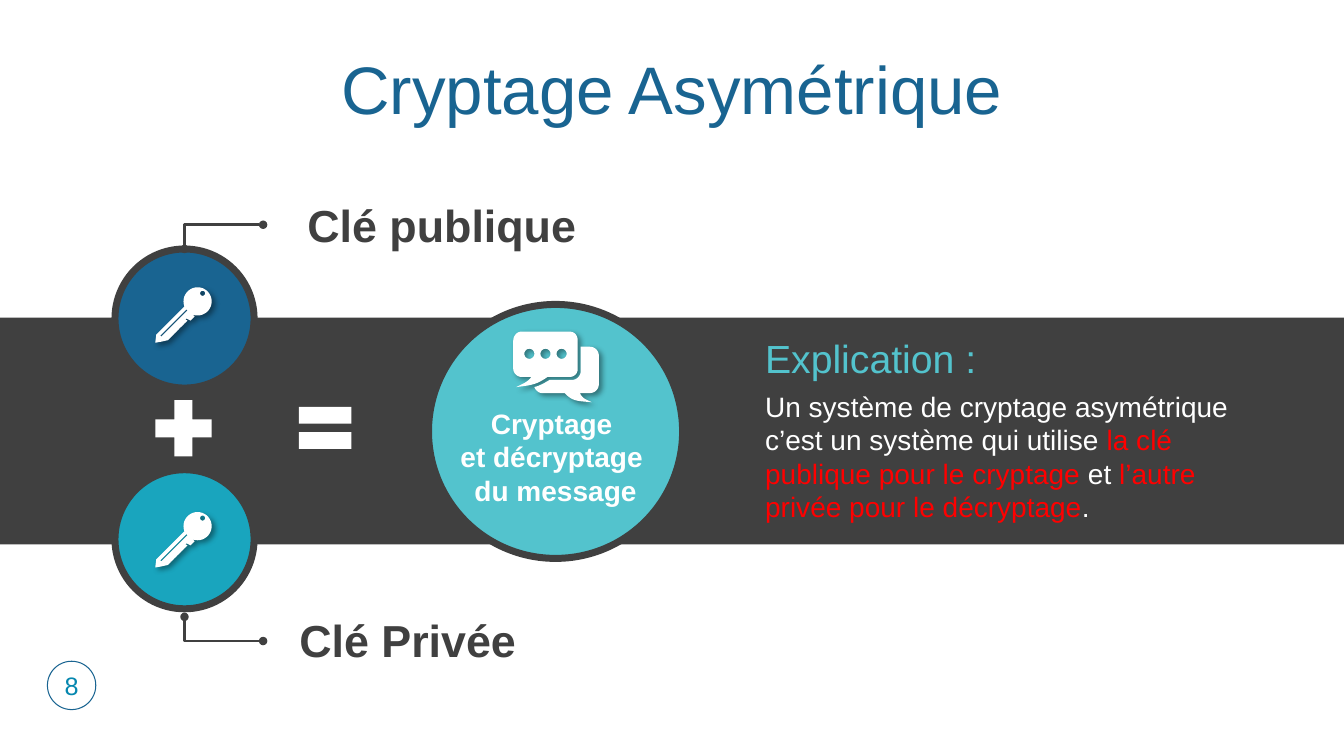
from math import cos, radians, sin

from lxml.etree import SubElement
from pptx import Presentation
from pptx.dml.color import RGBColor
from pptx.enum.shapes import MSO_CONNECTOR, MSO_SHAPE
from pptx.enum.text import MSO_ANCHOR, PP_ALIGN
from pptx.oxml.ns import qn
from pptx.util import Inches, Pt

DARK = RGBColor(0x40, 0x40, 0x40)
BLUE = RGBColor(0x19, 0x64, 0x91)
TEAL = RGBColor(0x19, 0xA5, 0xBE)
AQUA = RGBColor(0x53, 0xC3, 0xCD)
PAGE = RGBColor(0x05, 0x87, 0xAF)
WHITE = RGBColor(0xFF, 0xFF, 0xFF)
RED = RGBColor(0xFF, 0x00, 0x00)

# Content
TITLE = "Cryptage Asymétrique"
PAGE_NUMBER = "8"
RESULT = ["Cryptage ", "et décryptage ", "du message"]
HEADING = "Explication :"
EXPLANATION = [
    ("Un système de cryptage asymétrique c’est un système qui utilise ", WHITE),
    ("la clé publique pour le cryptage", RED),
    (" et ", WHITE),
    ("l’autre privée pour le décryptage", RED),
    (".", WHITE),
]
# label, circle colour, circle centre y, elbow y, elbow end y, label left, label top
KEYS = [
    ("Clé publique", BLUE, 3.16, 2.23, 2.47, 2.95, 1.91),
    ("Clé Privée", TEAL, 5.35, 6.36, 6.12, 2.87, 6.03),
]

# Layout, in inches
WIDTH, HEIGHT = 13.33, 7.5
BAND_TOP, BAND_HEIGHT = 0.42 * HEIGHT, 0.3 * HEIGHT
KEY_X, KEY_RADIUS = 1.83, 0.69
RESULT_X, RESULT_Y, RESULT_RADIUS = 5.51, 4.28, 1.26
TEXT_LEFT, TEXT_WIDTH = 7.49, 5
ICON_TOPS = [2.85, 5.08]
UNITS = 1000  # freeform units per inch

# Speech bubbles: a pair is a line's end, six numbers are a curve
FRONT_BUBBLE = [
    (5.17, 3.29), (5.65, 3.29), (5.7, 3.29, 5.73, 3.33, 5.73, 3.38),
    (5.73, 3.66), (5.73, 3.7, 5.7, 3.74, 5.65, 3.74), (5.43, 3.74),
    (5.33, 3.81, 5.29, 3.82, 5.12, 3.84), (5.22, 3.79, 5.23, 3.79, 5.27, 3.74),
    (5.17, 3.74), (5.13, 3.74, 5.09, 3.7, 5.09, 3.66), (5.09, 3.38),
    (5.09, 3.33, 5.13, 3.29, 5.17, 3.29),
]
BACK_BUBBLE = [
    (5.76, 3.44), (5.85, 3.44), (5.9, 3.44, 5.94, 3.48, 5.94, 3.53),
    (5.94, 3.81), (5.94, 3.86, 5.9, 3.9, 5.85, 3.9), (5.75, 3.9),
    (5.77, 3.93, 5.77, 3.95, 5.87, 3.99), (5.7, 3.98, 5.67, 3.97, 5.6, 3.9),
    (5.38, 3.9), (5.34, 3.9, 5.31, 3.87, 5.3, 3.84),
    (5.35, 3.83, 5.4, 3.8, 5.45, 3.77), (5.67, 3.77),
    (5.72, 3.77, 5.76, 3.73, 5.76, 3.68),
]

presentation = Presentation()
presentation.slide_width, presentation.slide_height = Inches(WIDTH), Inches(HEIGHT)
slide = presentation.slides.add_slide(presentation.slide_layouts[6])
shapes = slide.shapes


def paint(shape, fill=None, line=None, line_width=0):
    shape.shadow.inherit = False
    if fill is None:
        shape.fill.background()
    else:
        shape.fill.solid()
        shape.fill.fore_color.rgb = fill
    if line is None:
        shape.line.fill.background()
    else:
        shape.line.color.rgb = line
        shape.line.width = Pt(line_width)


def add_preset(kind, left, top, width, height, *style):
    shape = shapes.add_shape(kind, *map(Inches, (left, top, width, height)))
    paint(shape, *style)


def add_circle(x, y, radius, *style):
    add_preset(MSO_SHAPE.OVAL, x - radius, y - radius, 2 * radius, 2 * radius, *style)


def add_text(box, paragraphs, size, bold=False, align=PP_ALIGN.LEFT,
             anchor=MSO_ANCHOR.TOP, wrap=True):
    frame = shapes.add_textbox(*map(Inches, box)).text_frame
    frame.word_wrap = wrap
    frame.vertical_anchor = anchor
    for index, runs in enumerate(paragraphs):
        paragraph = frame.add_paragraph() if index else frame.paragraphs[0]
        paragraph.alignment = align
        for text, color in runs:
            run = paragraph.add_run()
            run.text = text
            run.font.name, run.font.size, run.font.bold = "Arial", Pt(size), bold
            run.font.color.rgb = color
    return frame


def arc(x, y, radius, start=0, end=360):
    return [(x + radius * cos(radians(a)), y + radius * sin(radians(a)))
            for a in range(start, end + 1, 10)]


def flatten(segments, steps=8):
    points = [segments[0]]
    for segment in segments[1:]:
        if len(segment) == 2:
            points.append(segment)
            continue
        x0, y0 = points[-1]
        x1, y1, x2, y2, x3, y3 = segment
        for step in range(1, steps + 1):
            t = step / steps
            weights = (1 - t) ** 3, 3 * t * (1 - t) ** 2, 3 * t * t * (1 - t), t ** 3
            points.append((sum(w * v for w, v in zip(weights, (x0, x1, x2, x3))),
                           sum(w * v for w, v in zip(weights, (y0, y1, y2, y3)))))
    return points


def key_contours(left, top):
    teeth = []
    for tooth in range(6):
        x, y = 0.3 - 0.033 * tooth, 0.32 + 0.033 * tooth
        teeth += [(x, y), (x + 0.02, y + 0.01), (x - 0.01, y + 0.04)]
    outline = (arc(0.42, 0.14, 0.14, 160, 470)
               + [(0.39, 0.29), (0.35, 0.33), (0.31, 0.31)] + teeth
               + [(0.06, 0.54), (0, 0.55), (0.01, 0.47), (0.29, 0.19)])
    groove = [(0.31, 0.22), (0.05, 0.48), (0.06, 0.49), (0.32, 0.23)]
    hole = arc(0.47, 0.06, 0.025)
    return [[(left + x, top + y) for x, y in contour]
            for contour in (outline, groove, hole)]


def add_icon(contours):
    scaled = [[(x * UNITS, y * UNITS) for x, y in contour] for contour in contours]
    builder = shapes.build_freeform(*scaled[0][0], scale=Inches(1) / UNITS)
    for index, contour in enumerate(scaled):
        if index:
            builder.move_to(*contour[0])
        builder.add_line_segments(contour[1:], close=True)
    icon = builder.convert_to_shape()
    paint(icon, WHITE)
    effects = icon._element.spPr.find(qn("a:effectLst"))
    shadow = SubElement(effects, qn("a:outerShdw"), blurRad=str(Pt(4)), dist=str(Pt(3)),
                        dir=str(45 * 60000), algn="tl", rotWithShape="0")
    color = SubElement(shadow, qn("a:srgbClr"), val="000000")
    SubElement(color, qn("a:alpha"), val="40000")


def add_elbow(start_x, start_y, end_x, end_y):
    elbow = shapes.add_connector(MSO_CONNECTOR.ELBOW,
                                 *map(Inches, (start_x, start_y, end_x, end_y)))
    elbow.line.color.rgb = DARK
    elbow.line.width = Pt(2)
    properties = elbow._element.spPr
    properties.find(qn("a:prstGeom")).set("prst", "bentConnector2")
    for end in ("a:headEnd", "a:tailEnd"):
        SubElement(properties.find(qn("a:ln")), qn(end), type="oval")
    SubElement(properties, qn("a:effectLst"))


# Page number
add_circle(0.71, 6.8, 0.24, None, BLUE, 0.75)
add_text((0.51, 6.64, 0.4, 0.32), [[(PAGE_NUMBER, PAGE)]], 18,
         align=PP_ALIGN.CENTER, anchor=MSO_ANCHOR.MIDDLE, wrap=False)

# Title
title = add_text((0, 0.5, WIDTH, 0.84), [[(TITLE, BLUE)]], 48,
                 align=PP_ALIGN.CENTER, anchor=MSO_ANCHOR.MIDDLE)
title.paragraphs[0].line_spacing = 0.9
title.paragraphs[0].space_before = Pt(10)

# Band, circles and signs
add_preset(MSO_SHAPE.RECTANGLE, 0, BAND_TOP, WIDTH, BAND_HEIGHT, DARK)
for _, color, center_y, *_ in KEYS:
    add_circle(KEY_X, center_y, KEY_RADIUS, color, DARK, 5)
add_preset(MSO_SHAPE.MATH_PLUS, 1.44, 3.87, 0.76, 0.76, WHITE)
add_preset(MSO_SHAPE.MATH_EQUAL, 2.87, 3.89, 0.71, 0.71, WHITE)
add_circle(RESULT_X, RESULT_Y, RESULT_RADIUS, AQUA, DARK, 5)

# Explanation and result
add_text((TEXT_LEFT, 3.27, TEXT_WIDTH, 0.57), [[(HEADING, AQUA)]], 28)
add_text((TEXT_LEFT, 3.81, TEXT_WIDTH, 1.45), [EXPLANATION], 20)
add_text((RESULT_X - RESULT_RADIUS, 3.98, 2 * RESULT_RADIUS, 1.11),
         [[(line, WHITE)] for line in RESULT], 20, True, PP_ALIGN.CENTER)

# Key labels, elbows and icons
for (label, _, _, elbow_y, end_y, left, top), icon_top in zip(KEYS, ICON_TOPS):
    add_text((left, top, 3.41, 0.64), [[(label, DARK)]], 32, True)
    add_elbow(2.61, elbow_y, KEY_X, end_y)
    add_icon(key_contours(1.54, icon_top))

# Message icon
dots = [arc(5.25 + 0.16 * dot, 3.51, 0.05) for dot in range(3)]
add_icon([flatten(FRONT_BUBBLE), flatten(BACK_BUBBLE), *dots])

presentation.save("out.pptx")
